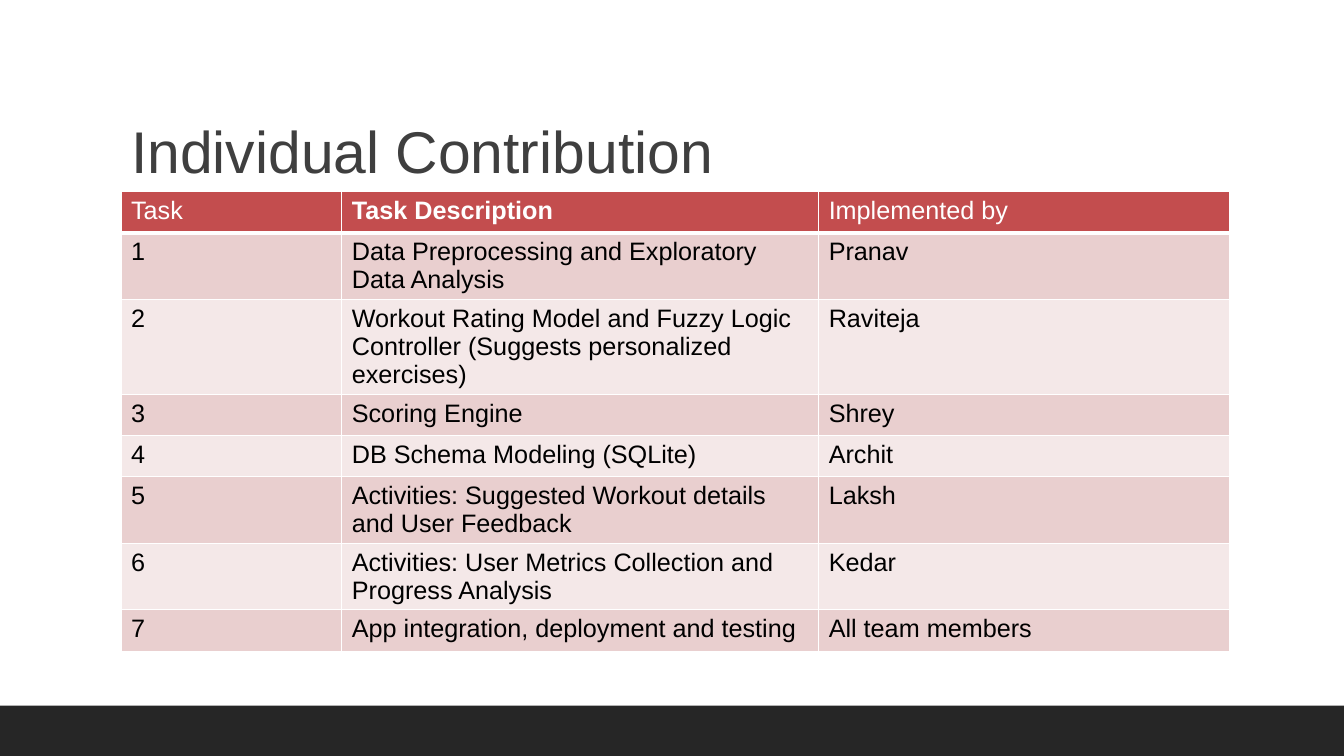
import pptx
import pptx.dml.color
import pptx.enum.shapes
import pptx.enum.text
import pptx.util
from lxml import etree

Inches = pptx.util.Inches
Pt = pptx.util.Pt
NAMESPACE = "http://schemas.openxmlformats.org/drawingml/2006/main"


def paint(fill, color):
    fill.solid()
    fill.fore_color.rgb = pptx.dml.color.RGBColor.from_string(color)


def add_border(cell, side, width):
    edge = etree.SubElement(cell._tc.get_or_add_tcPr(), f"{{{NAMESPACE}}}ln{side}", w=str(Pt(width)))
    solid = etree.SubElement(edge, f"{{{NAMESPACE}}}solidFill")
    etree.SubElement(solid, f"{{{NAMESPACE}}}srgbClr", val="FFFFFF")


presentation = pptx.Presentation()
presentation.slide_width = Inches(13.33)
presentation.slide_height = Inches(7.5)
slide = presentation.slides.add_slide(presentation.slide_layouts[5])

footer = slide.shapes.add_shape(
    pptx.enum.shapes.MSO_SHAPE.RECTANGLE, Inches(0), Inches(7), Inches(13.33), Inches(0.5)
)
footer.shadow.inherit = False
paint(footer.fill, "262626")
footer.line.fill.background()

heading = slide.shapes.title
heading_place = {"left": Inches(1.2), "top": Inches(0.31), "width": Inches(11), "height": Inches(1.59)}
for attribute, value in heading_place.items():
    setattr(heading, attribute, value)
heading.text_frame.text = "Individual Contribution"
heading_frame = {
    "vertical_anchor": pptx.enum.text.MSO_ANCHOR.BOTTOM,
    "word_wrap": True,
    "auto_size": pptx.enum.text.MSO_AUTO_SIZE.NONE,
}
for attribute, value in heading_frame.items():
    setattr(heading.text_frame, attribute, value)
heading_line = heading.text_frame.paragraphs[0]
heading_line.alignment = pptx.enum.text.PP_ALIGN.LEFT
heading_line.line_spacing = 0.9
for attribute, value in {"name": "Arial", "size": Pt(42), "bold": False}.items():
    setattr(heading_line.runs[0].font, attribute, value)
paint(heading_line.runs[0].font.fill, "3F3F3F")

contributions = [
    ("Task", "Task Description", "Implemented by"),
    ("1", "Data Preprocessing and Exploratory Data Analysis", "Pranav"),
    ("2", "Workout Rating Model and Fuzzy Logic Controller (Suggests personalized exercises)", "Raviteja"),
    ("3", "Scoring Engine", "Shrey"),
    ("4", "DB Schema Modeling (SQLite)", "Archit"),
    ("5", "Activities: Suggested Workout details and User Feedback", "Laksh"),
    ("6", "Activities: User Metrics Collection and Progress Analysis", "Kedar"),
    ("7", "App integration, deployment and testing", "All team members"),
]
column_widths = [2.19, 4.73, 4.08]
row_height = 0.41
task_table = slide.shapes.add_table(
    len(contributions), len(column_widths), Inches(1.2), Inches(1.9),
    Inches(sum(column_widths)), Inches(row_height * len(contributions)),
).table
for column, width in zip(task_table.columns, column_widths):
    column.width = Inches(width)

for row_index, contribution in enumerate(contributions):
    task_table.rows[row_index].height = Inches(row_height)
    is_header = row_index == 0
    band = "C34D4E" if is_header else ("F4E8E8", "E9CFCF")[row_index % 2]
    border_widths = {"L": 1, "R": 1, "T": 3 if row_index == 1 else 1, "B": 3 if is_header else 1}
    for column_index, entry in enumerate(contribution):
        cell = task_table.cell(row_index, column_index)
        for side, width in border_widths.items():
            add_border(cell, side, width)
        paint(cell.fill, band)
        cell.text = entry
        font = cell.text_frame.paragraphs[0].runs[0].font
        entry_format = {"name": "Arial", "size": Pt(18), "bold": is_header and column_index == 1}
        for attribute, value in entry_format.items():
            setattr(font, attribute, value)
        paint(font.fill, "FFFFFF" if is_header else "000000")

presentation.save("out.pptx")
